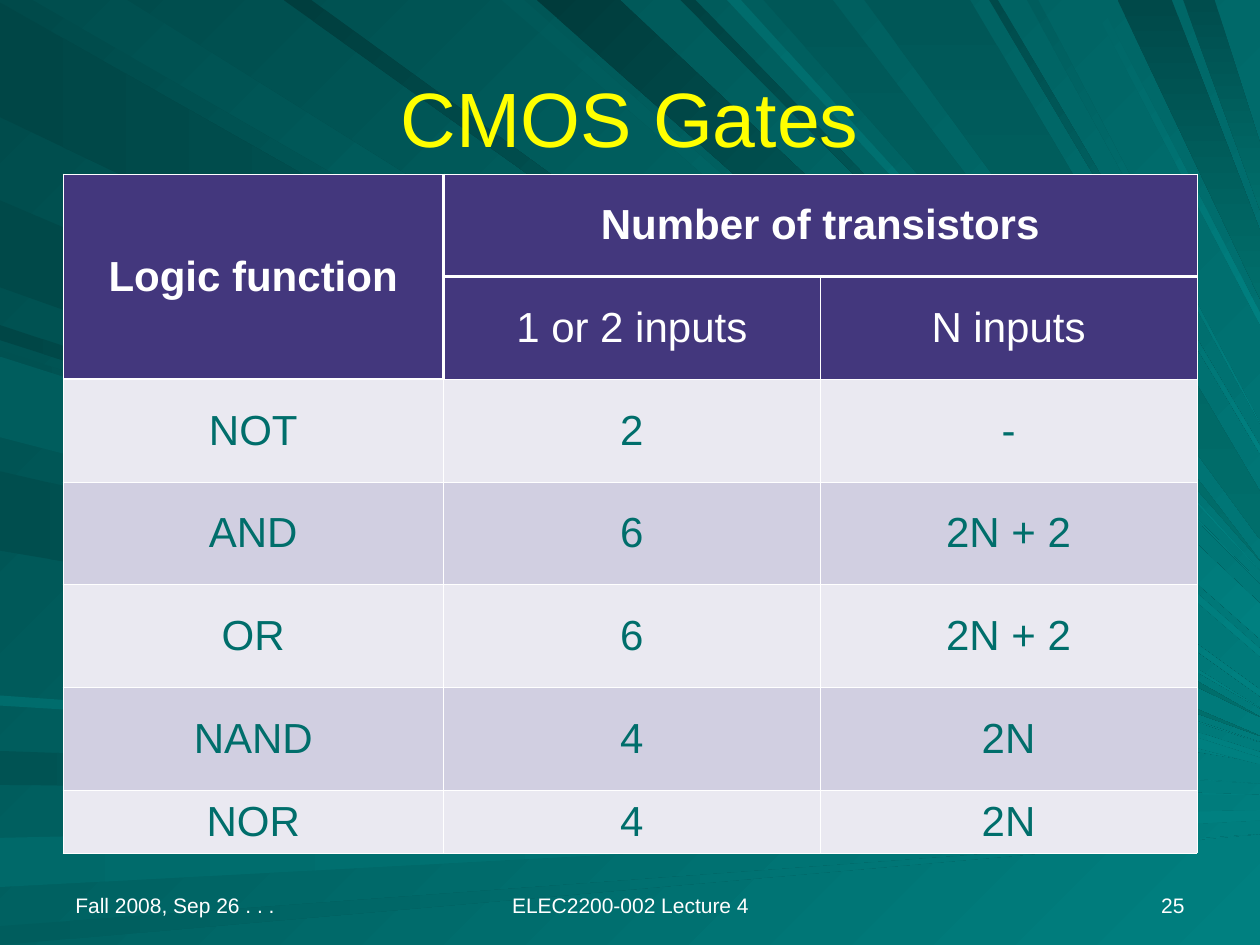
from lxml import etree
from pptx import Presentation
from pptx.dml.color import RGBColor
from pptx.enum.text import MSO_ANCHOR, PP_ALIGN
from pptx.oxml.ns import qn
from pptx.util import Inches, Pt

LEFT, CENTER, RIGHT = PP_ALIGN.LEFT, PP_ALIGN.CENTER, PP_ALIGN.RIGHT
MIDDLE, BOTTOM = MSO_ANCHOR.MIDDLE, MSO_ANCHOR.BOTTOM

WHITE = RGBColor(0xFF, 0xFF, 0xFF)
YELLOW = RGBColor(0xFF, 0xFF, 0x00)
PURPLE = RGBColor(0x43, 0x37, 0x7D)
PALE = RGBColor(0xEA, 0xE9, 0xF1)
LILAC = RGBColor(0xD1, 0xCF, 0xE1)
DEEP = RGBColor(0x00, 0x4A, 0x4A)
GREEN = RGBColor(0x00, 0x6E, 0x6B)
TEAL = RGBColor(0x00, 0x80, 0x80)

# Rays run from a stretch of the left or top edge to a tip on the right edge:
# start, end of the stretch, height and spread of the tip, start shade, end colour
LEFT_RAYS = [
    (0.02, 0.93, 5.69, 0, 0x46, GREEN),
    (5.96, 6.23, 6.31, 0, 0x53, TEAL),
    (6.65, 7.04, 6.47, 0.08, 0x69, TEAL),
    (7.35, 7.5, 6.62, 0, 0x5D, TEAL),
    (2.58, 2.7, 5.89, 0, 0x46, TEAL),
    (1.59, 2.28, 5.84, 0, 0x49, GREEN),
    (2.78, 3.42, 6, 0.06, 0x51, TEAL),
    (3.74, 4.37, 6.05, 0, 0x4E, TEAL),
    (5.52, 5.6, 6.22, 0, 0x6C, TEAL),
    (2.83, 3.47, 6.04, 0.05, 0x5D, TEAL),
]
TOP_RAYS = [
    (0.26, 1.01, 5.62, 0, 0x4E, TEAL),
    (3.98, 4.16, 5.18, 0.06, 0x59, TEAL),
    (4.26, 4.92, 4.93, 0.28, 0x3B, TEAL),
    (5.4, 5.52, 4.63, 0, 0x42, TEAL),
    (6.06, 6.61, 4.45, 0, 0x57, GREEN),
    (8.87, 9.3, 2.1, 0.54, 0x49, GREEN),
    (9.39, 9.64, 1.4, 0.53, 0x4D, GREEN),
    (2.25, 2.47, 5.5, 0.05, 0x3E, TEAL),
    (5.77, 5.88, 4.53, 0, 0x6C, TEAL),
    (6.86, 7.7, 4.09, 0.38, 0x57, GREEN),
    (7.85, 7.92, 3.57, 0.06, 0x4A, TEAL),
    (8.15, 8.24, 3.36, 0, 0x5D, TEAL),
    (8.65, 8.72, 2.53, 0.09, 0x65, TEAL),
]

GATES = [
    ("Logic function", "Number of transistors", ""),
    ("", "1 or 2 inputs", "N inputs"),
    ("NOT", "2", "-"),
    ("AND", "6", "2N + 2"),
    ("OR", "6", "2N + 2"),
    ("NAND", "4", "2N"),
    ("NOR", "4", "2N"),
]

FOOTERS = [
    ("Fall 2008, Sep 26 . . .", 0.5, 2.33, LEFT),
    ("ELEC2200-002 Lecture 4", 3.42, 3.17, CENTER),
    ("25", 7.17, 2.33, RIGHT),
]


def set_gradient(fill, start, end, clockwise):
    fill.gradient()
    fill.gradient_angle = (360 - clockwise) % 360
    fill.gradient_stops[0].color.rgb = start
    fill.gradient_stops[1].color.rgb = end


def format_text(frame, size, color, align, bold=False):
    paragraph = frame.paragraphs[0]
    paragraph.alignment = align
    for run in paragraph.runs:
        run.font.name = "Arial"
        run.font.size = Pt(size)
        run.font.bold = bold
        run.font.color.rgb = color


prs = Presentation()
prs.slide_width, prs.slide_height = Inches(10), Inches(7.5)
slide = prs.slides.add_slide(prs.slide_layouts[5])
set_gradient(slide.background.fill, DEEP, TEAL, 45)

rays = slide.shapes.add_group_shape()
for from_top, edge_rays in ((False, LEFT_RAYS), (True, TOP_RAYS)):
    for start, end, tip, spread, shade, color in edge_rays:
        corners = [(end, 0), (start, 0)] if from_top else [(0, start), (0, end)]
        corners += [(10, tip + spread / 2), (10, tip - spread / 2)]
        points = [(Inches(x), Inches(y)) for x, y in corners]
        builder = rays.shapes.build_freeform(*points[0])
        builder.add_line_segments(points[1:], close=True)
        ray = builder.convert_to_shape()
        ray.shadow.inherit = False
        ray.line.fill.background()
        angle = 0 if not from_top else 90 if color == GREEN else 45
        set_gradient(ray.fill, RGBColor(0, shade, shade), color, angle)

# Bring the title in front of the rays
title = slide.shapes.title
slide.shapes._spTree.append(title._element)
title.left, title.top = Inches(0.5), Inches(0.3)
title.width, title.height = Inches(9), Inches(1.25)
title.text_frame.text = "CMOS Gates"
title.text_frame.vertical_anchor = MIDDLE
format_text(title.text_frame, 44, YELLOW, CENTER)

last_row = len(GATES) - 1
gates = slide.shapes.add_table(
    len(GATES), 3, Inches(0.5), Inches(1.38), Inches(9), Inches(5.39)).table
gates.first_row = gates.horz_banding = False
for column, width in zip(gates.columns, (3.02, 2.99, 2.99)):
    column.width = Inches(width)
for r, row in enumerate(gates.rows):
    row.height = Inches(0.5 if r == last_row else (5.39 - 0.5) / last_row)

for r, texts in enumerate(GATES):
    header = r < 2
    for c, text in enumerate(texts):
        cell = gates.cell(r, c)
        cell.text_frame.text = text
        cell.vertical_anchor = MIDDLE
        format_text(cell.text_frame, 24, WHITE if header else GREEN, CENTER, bold=r == 0)
        heavy = {
            "L": header and c == 1,
            "R": header and c == 0,
            "T": r == 1 or (r == 2 and c == 0),
            "B": r == 0 or (r == 1 and c == 0),
        }
        for side, is_heavy in heavy.items():
            border = etree.SubElement(
                cell._tc.get_or_add_tcPr(), qn(f"a:ln{side}"), w=str(Pt(1.47 if is_heavy else 0.45)))
            solid = etree.SubElement(border, qn("a:solidFill"))
            etree.SubElement(solid, qn("a:srgbClr"), val=str(WHITE))
        cell.fill.solid()
        cell.fill.fore_color.rgb = PURPLE if header else (PALE, LILAC)[r % 2]
gates.cell(0, 0).merge(gates.cell(1, 0))
gates.cell(0, 1).merge(gates.cell(0, 2))

for text, left, width, align in FOOTERS:
    footer = slide.shapes.add_textbox(Inches(left), Inches(6.83), Inches(width), Inches(0.5))
    frame = footer.text_frame
    frame.word_wrap = True
    frame.vertical_anchor = BOTTOM
    frame.text = text
    format_text(frame, 12, WHITE, align)

prs.save("out.pptx")
